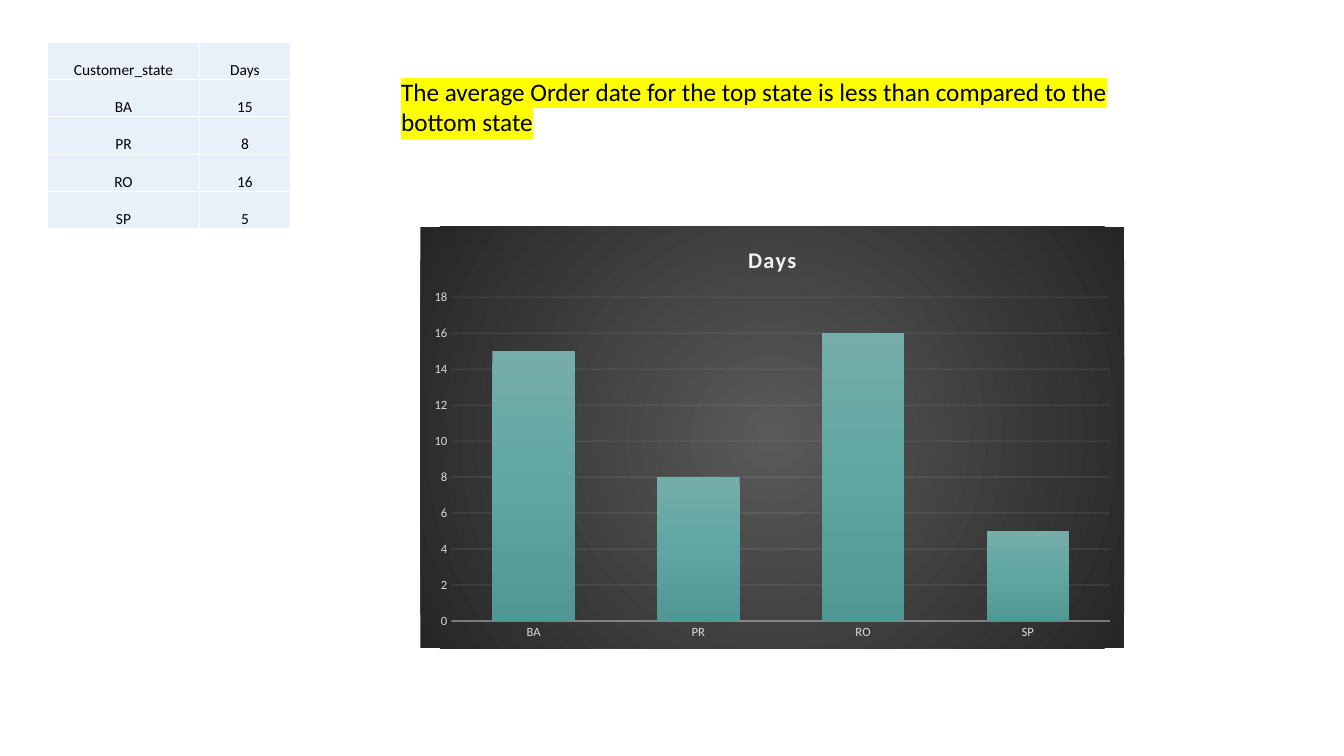
from lxml import etree
from pptx import Presentation
from pptx.chart.data import CategoryChartData
from pptx.dml.color import RGBColor
from pptx.enum.chart import XL_CHART_TYPE, XL_TICK_MARK
from pptx.enum.text import MSO_ANCHOR, MSO_AUTO_SIZE, PP_ALIGN
from pptx.oxml.ns import qn
from pptx.util import Inches, Pt

COLUMNS = XL_CHART_TYPE.COLUMN_CLUSTERED
NO_TICK = XL_TICK_MARK.NONE
BOTTOM = MSO_ANCHOR.BOTTOM
GROW = MSO_AUTO_SIZE.SHAPE_TO_FIT_TEXT
CENTER = PP_ALIGN.CENTER

FONT = "Calibri"
BLACK, WHITE, PALE_BLUE, YELLOW = "000000", "FFFFFF", "E8F1FA", "FFFF00"
LIGHT, LABEL_GREY = "F2F2F2", "D9D9D9"
STATES = ["BA", "PR", "RO", "SP"]
DAYS = [15, 8, 16, 5]


def color(hex_text):
    return RGBColor.from_string(hex_text)


def add_xml(parent, tag, **attributes):
    return etree.SubElement(parent, qn(tag), attributes)


def style_font(font, size, hex_text, bold=False):
    font.name, font.size, font.bold = FONT, Pt(size), bold
    font.color.rgb = color(hex_text)


def write(para, text, size=11, hex_text=BLACK, bold=False, align=None,
          highlight=None, spacing=None):
    """Add one formatted span of text to a paragraph."""
    para.alignment = align
    span = para.add_run()
    span.text = text
    style_font(span.font, size, hex_text, bold)
    properties = span.font._element
    if highlight:
        mark = etree.Element(qn("a:highlight"))
        add_xml(mark, "a:srgbClr", val=highlight)
        properties.find(qn("a:solidFill")).addnext(mark)
    if spacing:
        properties.set("spc", str(spacing))


def gradient(stops, angle=None):
    """Build a linear gradient, or a centred radial one without an angle."""
    fill = etree.Element(qn("a:gradFill"), rotWithShape="1")
    stop_list = add_xml(fill, "a:gsLst")
    for percent, hex_text in stops:
        stop = add_xml(stop_list, "a:gs", pos=str(percent * 1000))
        add_xml(stop, "a:srgbClr", val=hex_text)
    if angle is None:
        radial = add_xml(fill, "a:path", path="circle")
        add_xml(radial, "a:fillToRect", l="50000", t="50000", r="50000", b="50000")
    else:
        add_xml(fill, "a:lin", ang=str(angle * 60000), scaled="0")
    return fill


def style_line(line, width, hex_text, opacity):
    line.width = Pt(width)
    line.color.rgb = color(hex_text)
    shade = line._get_or_add_ln().find(".//" + qn("a:srgbClr"))
    add_xml(shade, "a:alpha", val=str(opacity * 1000))


def add_borders(cell, hex_text, width):
    properties = cell._tc.get_or_add_tcPr()
    for position, side in enumerate("LRTB"):
        border = etree.Element(qn("a:ln" + side), w=str(Pt(width)))
        add_xml(add_xml(border, "a:solidFill"), "a:srgbClr", val=hex_text)
        properties.insert(position, border)


def add_days_table(page, rows, left, top, widths, row_height):
    frame = page.shapes.add_table(
        len(rows), len(widths), Inches(left), Inches(top),
        Inches(sum(widths)), Inches(row_height * len(rows)))
    table = frame.table
    table.first_row = table.horz_banding = False
    for column, width in zip(table.columns, widths):
        column.width = Inches(width)
    for r, values in enumerate(rows):
        for c, value in enumerate(values):
            cell = table.cell(r, c)
            cell.margin_left = cell.margin_right = cell.margin_top = Inches(0.01)
            cell.margin_bottom = 0
            cell.vertical_anchor = BOTTOM
            cell.fill.solid()
            cell.fill.fore_color.rgb = color(PALE_BLUE)
            add_borders(cell, WHITE, 1)
            write(cell.text_frame.paragraphs[0], str(value), align=CENTER)


def add_text(page, text, left, top, width, height, **text_format):
    box = page.shapes.add_textbox(
        Inches(left), Inches(top), Inches(width), Inches(height))
    box.text_frame.word_wrap = True
    box.text_frame.auto_size = GROW
    write(box.text_frame.paragraphs[0], text, **text_format)


def add_days_chart(page, left, top, width, height):
    data = CategoryChartData()
    data.categories = STATES
    data.add_series("Days", DAYS)
    chart = page.shapes.add_chart(
        COLUMNS, Inches(left), Inches(top), Inches(width), Inches(height), data).chart
    style_font(chart.font, 10, BLACK)
    chart.has_legend = False
    chart.has_title = True
    write(chart.chart_title.text_frame.paragraphs[0], "Days", size=16,
          hex_text=LIGHT, bold=True, spacing=100)
    chart.chart_title.include_in_layout = False

    # Dark background
    background = etree.Element(qn("c:spPr"))
    background.append(gradient([(0, "595959"), (100, "262626")]))
    add_xml(add_xml(background, "a:ln"), "a:noFill")
    chart._chartSpace.find(qn("c:chart")).addnext(background)

    # Columns
    plot = chart.plots[0]
    plot.gap_width, plot.overlap = 100, -24
    plot.vary_by_categories = False
    series = plot.series[0]
    series.format.fill.solid()
    solid = series._element.find(qn("c:spPr")).find(qn("a:solidFill"))
    solid.getparent().replace(
        solid, gradient([(0, "76ADA9"), (50, "5FA6A2"), (100, "519793")], angle=90))

    # Axes
    states, days = chart.category_axis, chart.value_axis
    for axis in (states, days):
        axis.major_tick_mark = axis.minor_tick_mark = NO_TICK
        style_font(axis.tick_labels.font, 9, LABEL_GREY)
    style_line(states.format.line, 1, LIGHT, 54)
    days.format.line.fill.background()
    days.minimum_scale, days.maximum_scale, days.major_unit = 0, 18, 2
    days.has_major_gridlines = True
    style_line(days.major_gridlines.format.line, 0.75, LIGHT, 10)


def main():
    deck = Presentation()
    deck.slide_width, deck.slide_height = Inches(13.33), Inches(7.5)
    page = deck.slides.add_slide(deck.slide_layouts[6])

    rows = [("Customer_state", "Days"), *zip(STATES, DAYS)]
    add_days_table(page, rows, 0.47, 0.42, [1.51, 0.9], 0.37)
    add_text(page, "The average Order date for the top state is less than "
             "compared to the bottom state", 3.88, 0.71, 7.72, 0.71,
             size=18, highlight=YELLOW)
    add_days_chart(page, 4.17, 2.25, 6.98, 4.18)

    deck.save("out.pptx")


if __name__ == "__main__":
    main()
